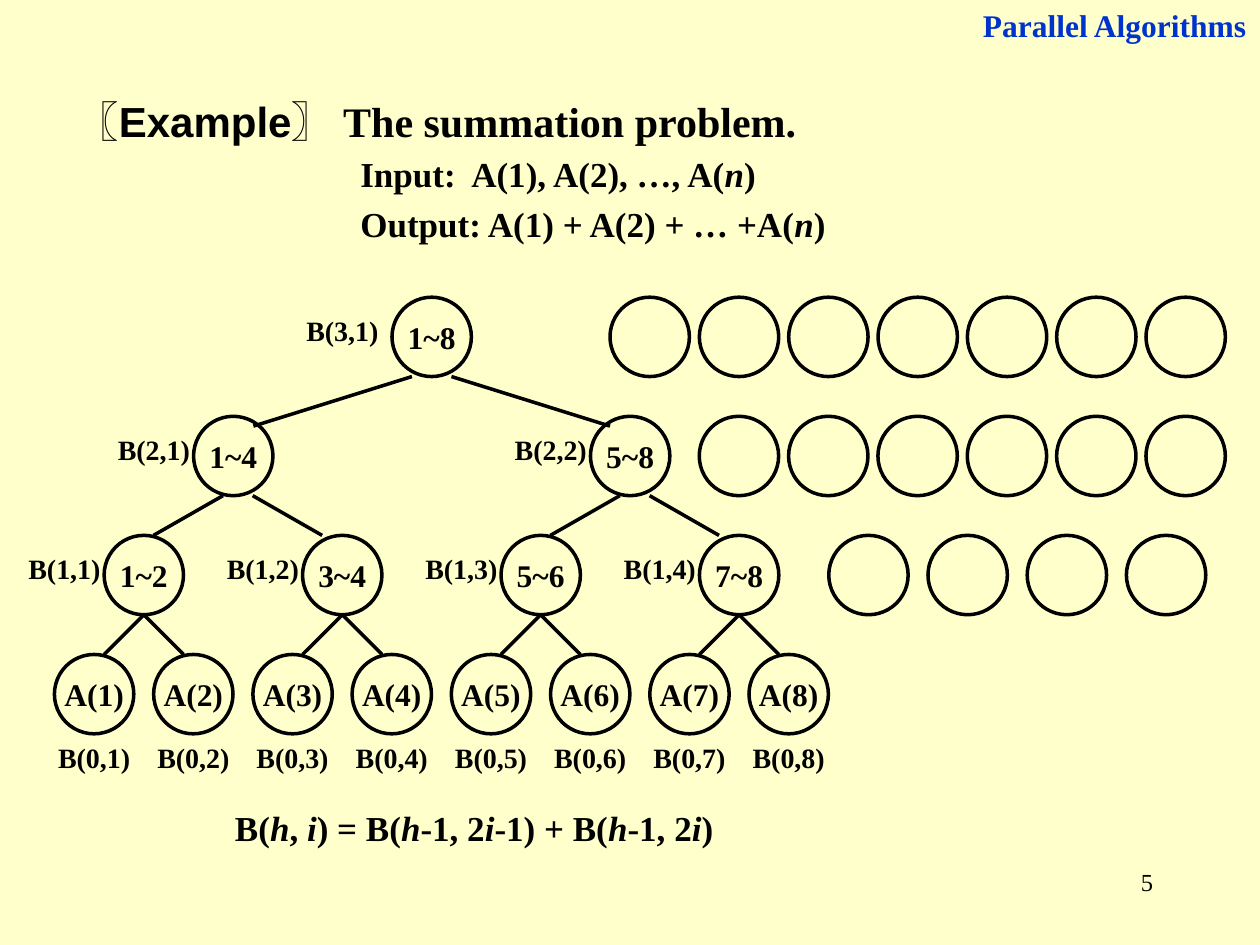
import pptx
import pptx.util
import pptx.dml.color
import pptx.enum.shapes
import pptx.enum.text
import lxml.etree

Pt = pptx.util.Pt
ALIGN = pptx.enum.text.PP_ALIGN
ANCHOR = pptx.enum.text.MSO_ANCHOR
BLACK = pptx.dml.color.RGBColor(0, 0, 0)
BLUE = pptx.dml.color.RGBColor(0x00, 0x33, 0xCC)
CREAM = pptx.dml.color.RGBColor(0xFF, 0xFF, 0xCC)
SERIF, SANS, CJK = "Times New Roman", "Arial", "Noto Sans CJK SC"

heading = [("〖", CJK), ("Example", SANS), ("〗 ", CJK), ("The summation problem.", SERIF)]
problem = [
    [("Input:  A(1), A(2), …, A(", False), ("n", True), (")", False)],
    [("Output: A(1) + A(2) + … +A(", False), ("n", True), (")", False)],
]
recurrence = [
    ("B(", False), ("h", True), (", ", False), ("i", True), (") = B(", False),
    ("h", True), ("-1, 2", False), ("i", True), ("-1) + B(", False),
    ("h", True), ("-1, 2", False), ("i", True), (")", False),
]
levels = [
    {"nodes": [f"A({i})" for i in range(1, 9)], "first": 53.8, "label": (-28.35, 45.4)},
    {"nodes": ["1~2", "3~4", "5~6", "7~8"], "first": 82.2, "label": (-73.7, 5.7),
     "branch": (0, 0, 22.7, 22.7), "idle": (4, 473.6, 56.7)},
    {"nodes": ["1~4", "5~8"], "first": 133.3, "label": (-73.7, 5.7),
     "branch": (2.6, 8.5, 48.2, 22.7), "idle": (6, 399.6, 51.05)},
    {"nodes": ["1~8"], "first": 246.7, "label": (-79.4, 5.7),
     "branch": (0, 11.3, 101.9, 28.3), "idle": (7, 348.6, 51.05)},
]
DIAMETER, LEAF_PITCH, LEAF_TOP, LEVEL_STEP = 45.35, 56.7, 374, 68.05

deck = pptx.Presentation()
deck.slide_width, deck.slide_height = Pt(720), Pt(540)
slide = deck.slides.add_slide(deck.slide_layouts[1])
slide.background.fill.solid()
slide.background.fill.fore_color.rgb = CREAM


def place(part, left, top, width, height):
    part.left, part.top, part.width, part.height = map(Pt, (left, top, width, height))


def add_run(paragraph, words, size, face=SERIF, bold=True, italic=False, color=BLACK):
    run = paragraph.add_run()
    run.text = words
    font = run.font
    font.name, font.size, font.bold, font.italic = face, Pt(size), bold, italic
    font.color.rgb = color
    if face == CJK:
        latin = font._element.find(pptx.oxml.ns.qn("a:latin"))
        east_asian = lxml.etree.Element(pptx.oxml.ns.qn("a:ea"), typeface=CJK)
        latin.addnext(east_asian)


def write(box, words, size, align=ALIGN.CENTER, **style):
    paragraph = box.text_frame.paragraphs[0]
    paragraph.alignment = align
    add_run(paragraph, words, size, **style)


def add_text(left, top, width, height):
    box = slide.shapes.add_textbox(Pt(left), Pt(top), Pt(width), Pt(height))
    box.text_frame.word_wrap = True
    return box


def add_circle(left, top):
    circle = slide.shapes.add_shape(
        pptx.enum.shapes.MSO_SHAPE.OVAL, Pt(left), Pt(top), Pt(DIAMETER), Pt(DIAMETER))
    circle.shadow.inherit = False
    circle.fill.background()
    circle.line.color.rgb = BLACK
    circle.line.width = Pt(2)
    circle.text_frame.word_wrap = False
    circle.text_frame.vertical_anchor = ANCHOR.MIDDLE
    return circle


def add_branch(x1, y1, x2, y2):
    branch = slide.shapes.add_connector(
        pptx.enum.shapes.MSO_CONNECTOR.STRAIGHT, Pt(x1), Pt(y1), Pt(x2), Pt(y2))
    branch.line.color.rgb = BLACK
    branch.line.width = Pt(2)
    lxml.etree.SubElement(branch._element.spPr, pptx.oxml.ns.qn("a:effectLst"))


title, statement = slide.shapes.title, slide.placeholders[1]
place(title, 36.7, 50.9, 538.6, 40)
place(statement, 198.7, 79, 376.6, 66)
for holder in (title, statement):
    holder.text_frame.vertical_anchor = ANCHOR.TOP
    holder.text_frame.auto_size = pptx.enum.text.MSO_AUTO_SIZE.NONE

title_line = title.text_frame.paragraphs[0]
title_line.alignment = ALIGN.LEFT
for words, face in heading:
    add_run(title_line, words, 24, face)

for index, runs in enumerate(problem):
    frame = statement.text_frame
    line = frame.paragraphs[0] if index == 0 else frame.add_paragraph()
    line.space_before = Pt(0)
    line.line_spacing = Pt(28.5)
    properties = line._p.get_or_add_pPr()
    properties.set("marL", "0")
    properties.set("indent", "0")
    lxml.etree.SubElement(properties, pptx.oxml.ns.qn("a:buNone"))
    for words, italic in runs:
        add_run(line, words, 20, italic=italic)

write(add_text(530, 0, 189.3, 28.8), "Parallel Algorithms", 18, ALIGN.RIGHT, color=BLUE)
write(add_text(516.2, 491.8, 149.8, 36), "5", 14, ALIGN.RIGHT, bold=False)

for height, level in enumerate(levels):
    top = LEAF_TOP - height * LEVEL_STEP
    bottom = top + DIAMETER
    label_dx, label_dy = level["label"]
    for index, node in enumerate(level["nodes"]):
        center = level["first"] + index * LEAF_PITCH * 2 ** height
        write(add_circle(center - DIAMETER / 2, top), node, 18)
        label = add_text(center + label_dx, top + label_dy, LEAF_PITCH, 26.6)
        write(label, f"B({height},{index + 1})", 16)
        if "branch" in level:
            shift, start, end, drop = level["branch"]
            for side in (-1, 1):
                add_branch(center + shift + side * start, bottom,
                           center + shift + side * end, bottom + drop)
    count, first_idle, idle_pitch = level.get("idle", (0, 0, 0))
    for index in range(count):
        add_circle(first_idle + index * idle_pitch, top)

formula = add_text(127.2, 457.2, 300, 31.7).text_frame.paragraphs[0]
formula.alignment = ALIGN.LEFT
for words, italic in recurrence:
    add_run(formula, words, 20, italic=italic)

deck.save("out.pptx")
